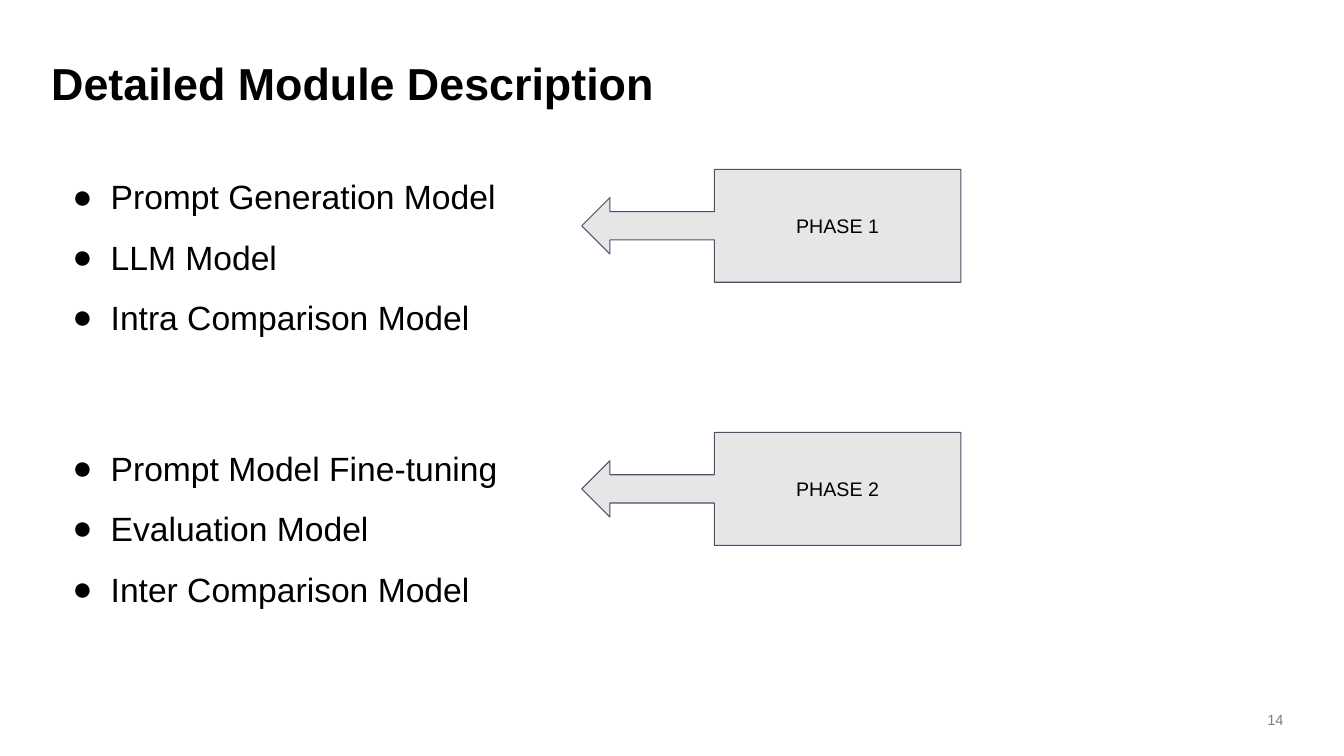
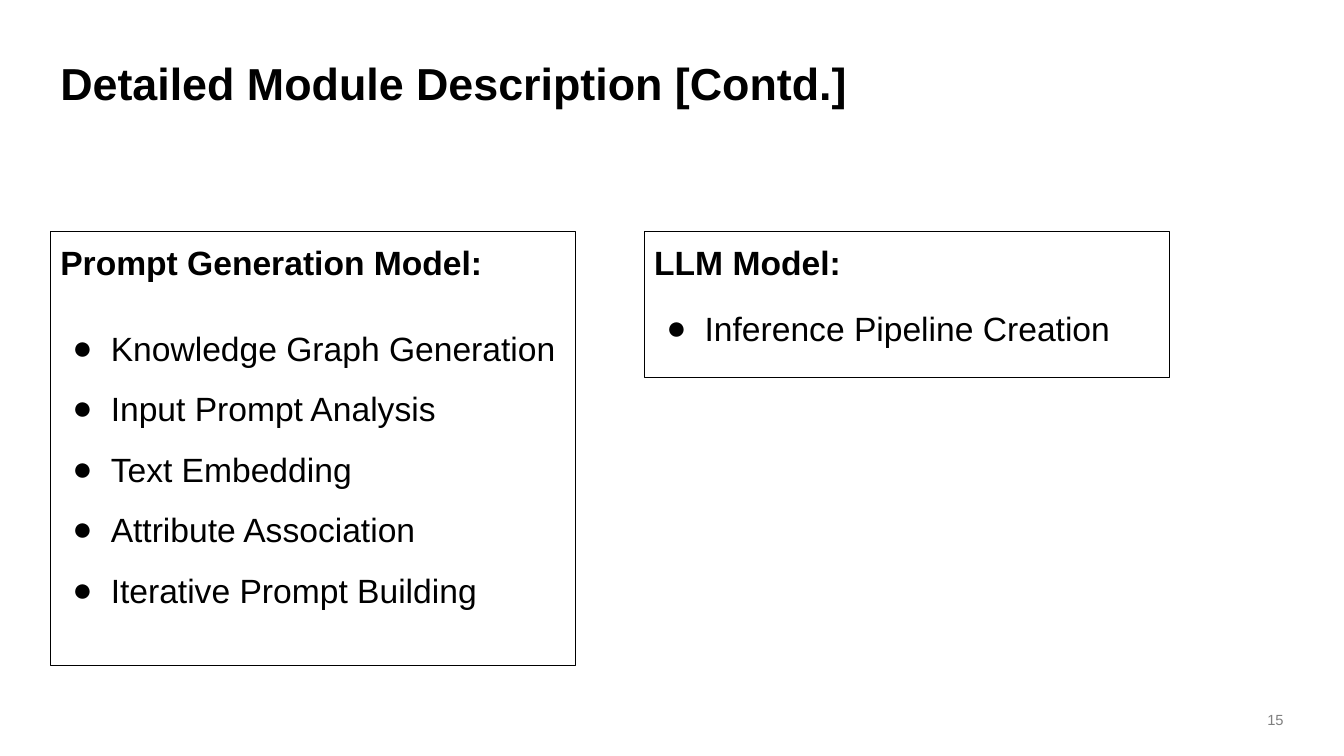
from dataclasses import dataclass
from typing import Any

from lxml import etree
from pptx import Presentation
from pptx import util as u
from pptx.dml import color
from pptx.enum import shapes, text
from pptx.oxml import ns

COLORS = {
    "ink": "000000",
    "callout": "E7E6E6",
    "callout_line": "44546A",
    "page_number": "7F7F7F",
}
FONT = "Arial"
BODY_SIZE = 24
PARAGRAPH_GAP = 18
CALLOUT_LEFT = 5.77
CARD_TOP, CARD_WIDTH = 2.3, 5.21


@dataclass(frozen=True)
class Phase:
    label: str
    models: tuple[str, ...]
    list_top: float
    callout_top: float


@dataclass(frozen=True)
class ModuleCard:
    heading: str
    steps: tuple[str, ...]
    left: float
    height: float
    line_spacing: float


PHASES = (
    Phase("PHASE 1", ("Prompt Generation Model", "LLM Model", "Intra Comparison Model"), 1.5, 1.68),
    Phase("PHASE 2", ("Prompt Model Fine-tuning", "Evaluation Model", "Inter Comparison Model"), 4.19, 4.29),
)
CARDS = (
    ModuleCard(
        "Prompt Generation Model:",
        (
            "Knowledge Graph Generation",
            "Input Prompt Analysis",
            "Text Embedding",
            "Attribute Association",
            "Iterative Prompt Building",
        ),
        0.5, 4.3, 1.5,
    ),
    ModuleCard("LLM Model:", ("Inference Pipeline Creation",), 6.39, 1.45, 1.0),
)


def rgb(name: str) -> color.RGBColor:
    return color.RGBColor.from_string(COLORS[name])


def add_bullet(paragraph: Any) -> None:
    props = paragraph._p.get_or_add_pPr()
    props.set("marL", str(u.Inches(0.5)))
    props.set("indent", str(u.Inches(-0.38)))
    bullet_color = etree.SubElement(props, ns.qn("a:buClr"))
    etree.SubElement(bullet_color, ns.qn("a:srgbClr"), val=COLORS["ink"])
    etree.SubElement(props, ns.qn("a:buFont"), typeface=FONT)
    etree.SubElement(props, ns.qn("a:buChar"), char="●")


def write(
    frame: Any,
    wording: str,
    *,
    size: float = BODY_SIZE,
    bold: bool = False,
    ink: str = "ink",
    align: text.PP_ALIGN = text.PP_ALIGN.LEFT,
    line_spacing: float = 1.0,
    before: float = 0,
    bullet: bool = False,
) -> None:
    paragraph = frame.add_paragraph() if frame.text else frame.paragraphs[0]
    paragraph.alignment = align
    paragraph.line_spacing = line_spacing
    paragraph.space_before = u.Pt(before)
    if bullet:
        add_bullet(paragraph)
    run = paragraph.add_run()
    run.text = wording
    run.font.name = FONT
    run.font.size = u.Pt(size)
    run.font.bold = bold
    run.font.color.rgb = rgb(ink)


def write_bullets(frame: Any, items: tuple[str, ...], line_spacing: float) -> None:
    for index, item in enumerate(items):
        write(frame, item, bullet=True, line_spacing=line_spacing,
              before=0 if index else PARAGRAPH_GAP)


def add_text_frame(
    slide: Any, left: float, top: float, width: float, height: float,
    anchor: text.MSO_ANCHOR = text.MSO_ANCHOR.TOP,
) -> Any:
    box = slide.shapes.add_textbox(
        u.Inches(left), u.Inches(top), u.Inches(width), u.Inches(height))
    box.text_frame.word_wrap = True
    box.text_frame.vertical_anchor = anchor
    return box.text_frame


def add_panel(
    slide: Any, kind: shapes.MSO_SHAPE, left: float, top: float, width: float, height: float,
    *, line: str, fill: str | None = None, anchor: text.MSO_ANCHOR = text.MSO_ANCHOR.TOP,
) -> Any:
    panel = slide.shapes.add_shape(
        kind, u.Inches(left), u.Inches(top), u.Inches(width), u.Inches(height))
    panel.shadow.inherit = False
    if fill:
        panel.fill.solid()
        panel.fill.fore_color.rgb = rgb(fill)
    else:
        panel.fill.background()
    panel.line.color.rgb = rgb(line)
    panel.line.width = u.Pt(0.75)
    frame = panel.text_frame
    frame.word_wrap = True
    frame.vertical_anchor = anchor
    frame.margin_left = frame.margin_right = u.Inches(0.1)
    frame.margin_top = frame.margin_bottom = u.Inches(0.1)
    return panel


def add_titled_slide(deck: Any, title: str, page: int, title_left: float = 0.5) -> Any:
    slide = deck.slides.add_slide(deck.slide_layouts[6])
    write(add_text_frame(slide, title_left, 0.5, 12.33, 0.64), title, size=32, bold=True)
    write(add_text_frame(slide, 12.33, 7.01, 0.5, 0.27, text.MSO_ANCHOR.BOTTOM), str(page),
          size=10.5, ink="page_number", align=text.PP_ALIGN.RIGHT)
    return slide


def add_phase(slide: Any, phase: Phase) -> None:
    write_bullets(add_text_frame(slide, 0.5, phase.list_top, 5.2, 2.1), phase.models, 1.5)
    callout = add_panel(
        slide, shapes.MSO_SHAPE.LEFT_ARROW_CALLOUT, CALLOUT_LEFT, phase.callout_top, 3.76, 1.12,
        line="callout_line", fill="callout", anchor=text.MSO_ANCHOR.MIDDLE)
    callout.adjustments[3] = 0.65
    write(callout.text_frame, phase.label, size=14, align=text.PP_ALIGN.CENTER)


def add_card(slide: Any, card: ModuleCard) -> None:
    panel = add_panel(slide, shapes.MSO_SHAPE.RECTANGLE, card.left, CARD_TOP,
                      CARD_WIDTH, card.height, line="ink")
    write(panel.text_frame, card.heading, bold=True)
    write_bullets(panel.text_frame, card.steps, card.line_spacing)


def main() -> None:
    deck = Presentation()
    deck.slide_width, deck.slide_height = u.Inches(13.33), u.Inches(7.5)

    overview = add_titled_slide(deck, "Detailed Module Description", 14, title_left=0.41)
    for phase in PHASES:
        add_phase(overview, phase)

    details = add_titled_slide(deck, "Detailed Module Description [Contd.]", 15)
    for card in CARDS:
        add_card(details, card)

    deck.save("out.pptx")


if __name__ == "__main__":
    main()
